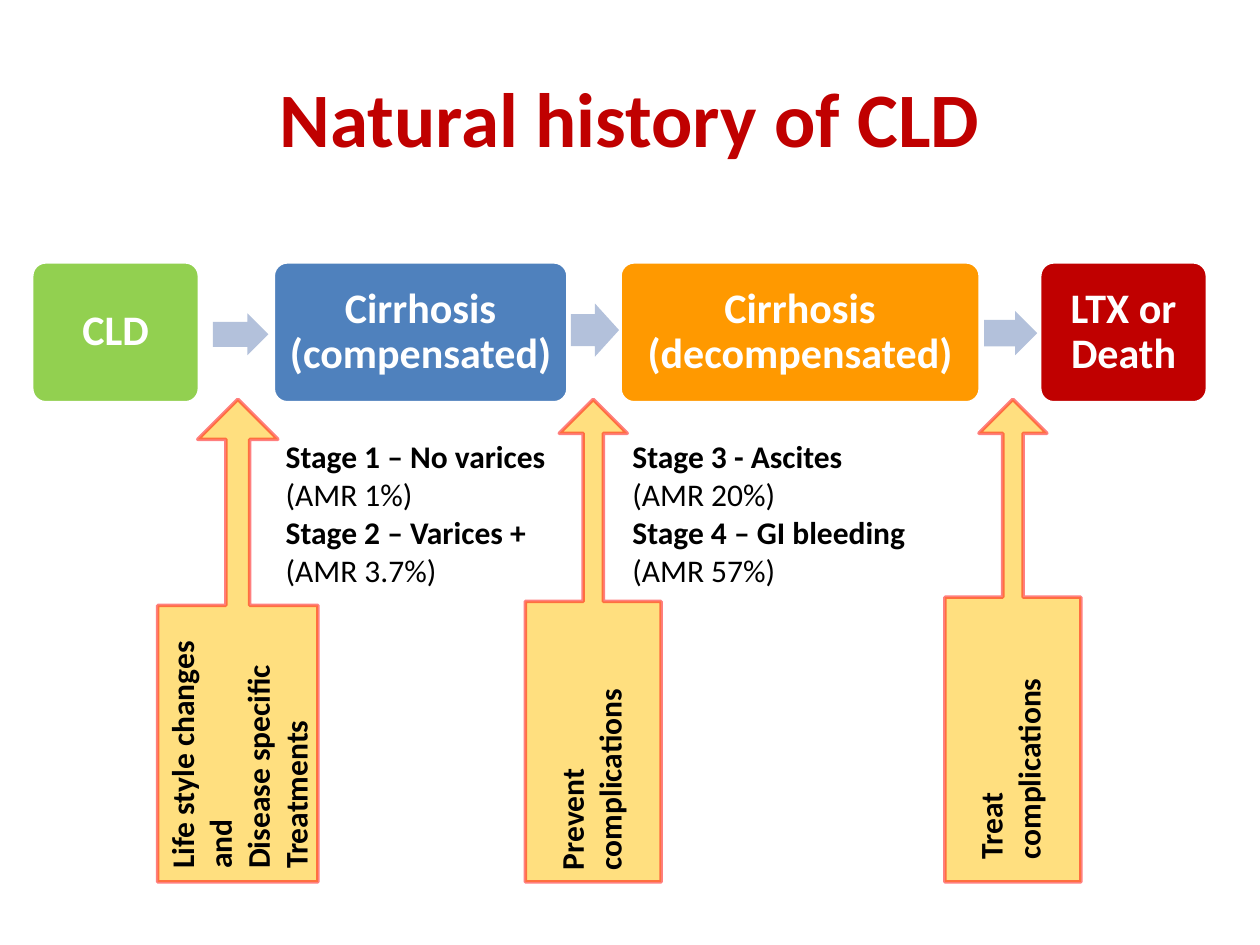
from dataclasses import dataclass

from lxml.etree import SubElement
from pptx import Presentation
from pptx.dml.color import RGBColor
from pptx.enum.shapes import MSO_SHAPE
from pptx.enum.text import MSO_ANCHOR, MSO_AUTO_SIZE, PP_ALIGN
from pptx.oxml.ns import qn
from pptx.util import Cm, Pt


@dataclass(frozen=True)
class Theme:
    font: str = "Calibri"
    title_size: int = 44
    step_size: int = 24
    body_size: int = 18
    title: str = "C00000"
    text: str = "000000"
    white: str = "FFFFFF"
    early: str = "92D050"
    compensated: str = "4F81BD"
    decompensated: str = "FF9900"
    final: str = "C00000"
    transition: str = "B3C1DB"
    action_fill: str = "FFC000"
    action_edge: str = "FF0000"


def set_all(target, values):
    for name, value in values.items():
        setattr(target, name, value)


class HistorySlide:
    def __init__(self, slide, theme):
        self.slide = slide
        self.theme = theme

    def add_lines(self, frame, lines, size, color, align=PP_ALIGN.LEFT, spacing=1.0):
        for index, (words, bold) in enumerate(lines):
            paragraph = frame.paragraphs[0] if index == 0 else frame.add_paragraph()
            set_all(paragraph, {"alignment": align, "line_spacing": spacing})
            run = paragraph.add_run()
            run.text = words
            set_all(run.font, {"name": self.theme.font, "size": Pt(size), "bold": bold})
            run.font.color.rgb = RGBColor.from_string(color)

    def block(self, preset, box, adjustments, fill, edge=None):
        block = self.slide.shapes.add_shape(preset, *map(Cm, box))
        block.shadow.inherit = False
        for index, value in enumerate(adjustments):
            block.adjustments[index] = value
        block.fill.solid()
        block.fill.fore_color.rgb = RGBColor.from_string(fill)
        if edge:
            block.line.color.rgb = RGBColor.from_string(edge)
            block.line.width = Pt(2)
        else:
            block.line.fill.background()
        return block

    def title(self, words, box):
        frame = self.slide.shapes.add_textbox(*map(Cm, box)).text_frame
        set_all(frame, {"word_wrap": True, "vertical_anchor": MSO_ANCHOR.MIDDLE})
        self.add_lines(frame, [(words, True)], self.theme.title_size,
                       self.theme.title, PP_ALIGN.CENTER)

    def step(self, words, left, width, fill):
        step = self.block(MSO_SHAPE.ROUNDED_RECTANGLE, (left, 5.28, width, 2.84),
                          [0.1], fill, self.theme.white)
        inset = Cm(0.25)
        set_all(step.text_frame, {
            "word_wrap": True, "vertical_anchor": MSO_ANCHOR.MIDDLE,
            "margin_left": inset, "margin_right": inset,
            "margin_top": inset, "margin_bottom": inset,
        })
        self.add_lines(step.text_frame, [(words, True)], self.theme.step_size,
                       self.theme.white, PP_ALIGN.CENTER, 0.9)

    def transition(self, box):
        self.block(MSO_SHAPE.RIGHT_ARROW, box, [0.6, 0.5], self.theme.transition)

    def action(self, left, width, body_share):
        action = self.block(MSO_SHAPE.UP_ARROW_CALLOUT, (left, 8.05, width, 9.73),
                            [0.149, 0.25, 0.25, body_share],
                            self.theme.action_fill, self.theme.action_edge)
        for color in action.element.spPr.iter(qn("a:srgbClr")):
            SubElement(color, qn("a:alpha"), val="50000")

    def note(self, lines, box, rotation=0):
        note = self.slide.shapes.add_textbox(*map(Cm, box))
        note.rotation = rotation
        set_all(note.text_frame, {
            "word_wrap": True, "auto_size": MSO_AUTO_SIZE.SHAPE_TO_FIT_TEXT,
        })
        self.add_lines(note.text_frame, lines, self.theme.body_size, self.theme.text)


def main():
    theme = Theme()
    deck = Presentation()
    set_all(deck, {"slide_width": Cm(25.4), "slide_height": Cm(19.05)})
    history = HistorySlide(deck.slides.add_slide(deck.slide_layouts[6]), theme)

    history.title("Natural history of CLD", (1.27, 0.76, 22.86, 3.18))

    for step in (
        ("CLD", 0.64, 3.38, theme.early),
        ("Cirrhosis (compensated)", 5.51, 5.94, theme.compensated),
        ("Cirrhosis (decompensated)", 12.5, 7.26, theme.decompensated),
        ("LTX or Death", 20.96, 3.38, theme.final),
    ):
        history.step(*step)

    for transition in (
        (4.29, 6.32, 1.12, 0.84),
        (11.51, 6.12, 0.97, 1.07),
        (19.84, 6.27, 1.07, 0.89),
    ):
        history.transition(transition)

    for action in ((3.18, 3.23, 0.573), (10.59, 2.74, 0.581), (19.05, 2.74, 0.59)):
        history.action(*action)

    for treatments, box in (
        (("Life style changes", "and", "Disease specific Treatments"),
         (2.18, 13.46, 5.28, 3.33)),
        (("Prevent complications",), (9.47, 14.45, 4.88, 1.8)),
        (("Treat complications",), (18.03, 14.35, 4.65, 1.8)),
    ):
        history.note([(words, True) for words in treatments], box, 270)

    for stages, left, width in (
        ((("Stage 1 – No varices", "(AMR 1%)"),
          ("Stage 2 – Varices +", "(AMR 3.7%)")), 5.51, 5.92),
        ((("Stage 3 - Ascites", "(AMR 20%)"),
          ("Stage 4 – GI bleeding", "(AMR 57%)")), 12.5, 7.19),
    ):
        lines = [line for stage, rate in stages
                 for line in ((stage, True), (rate, False))]
        history.note(lines, (left, 8.69, width, 3.33))

    deck.save("out.pptx")


if __name__ == "__main__":
    main()
